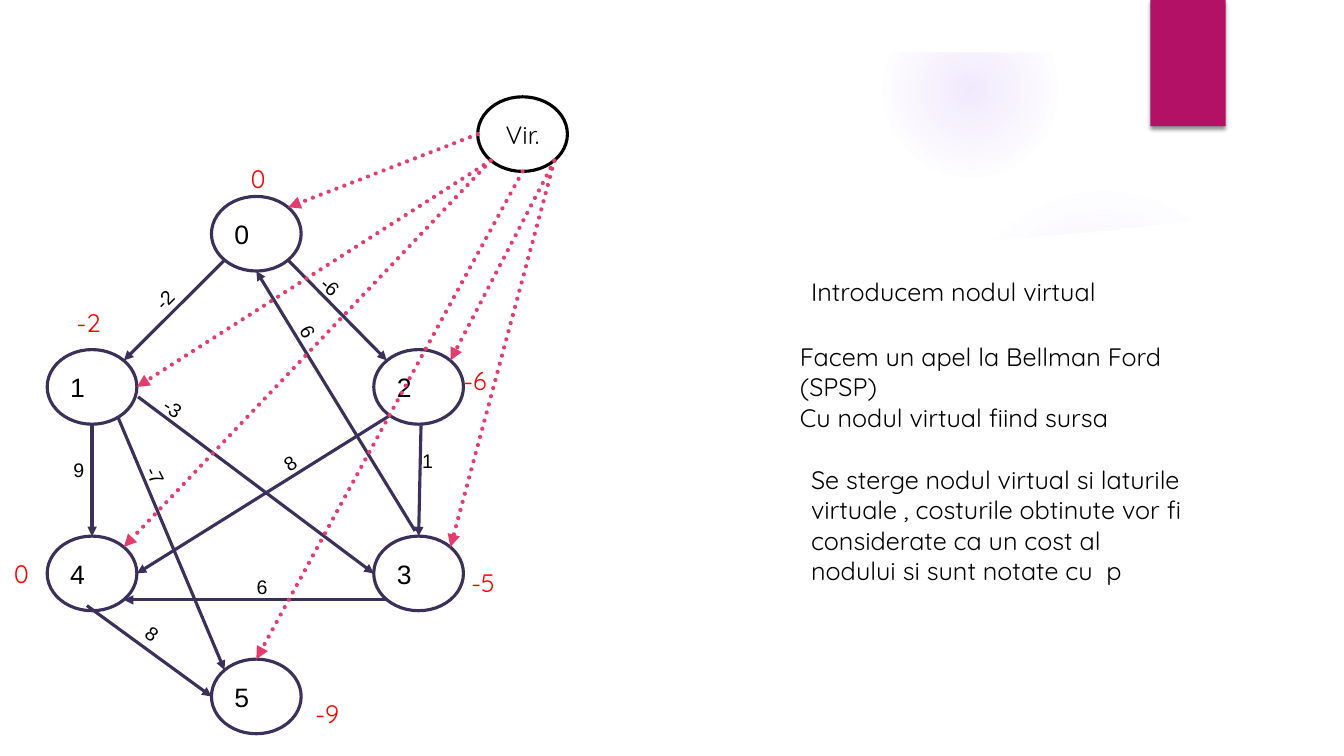
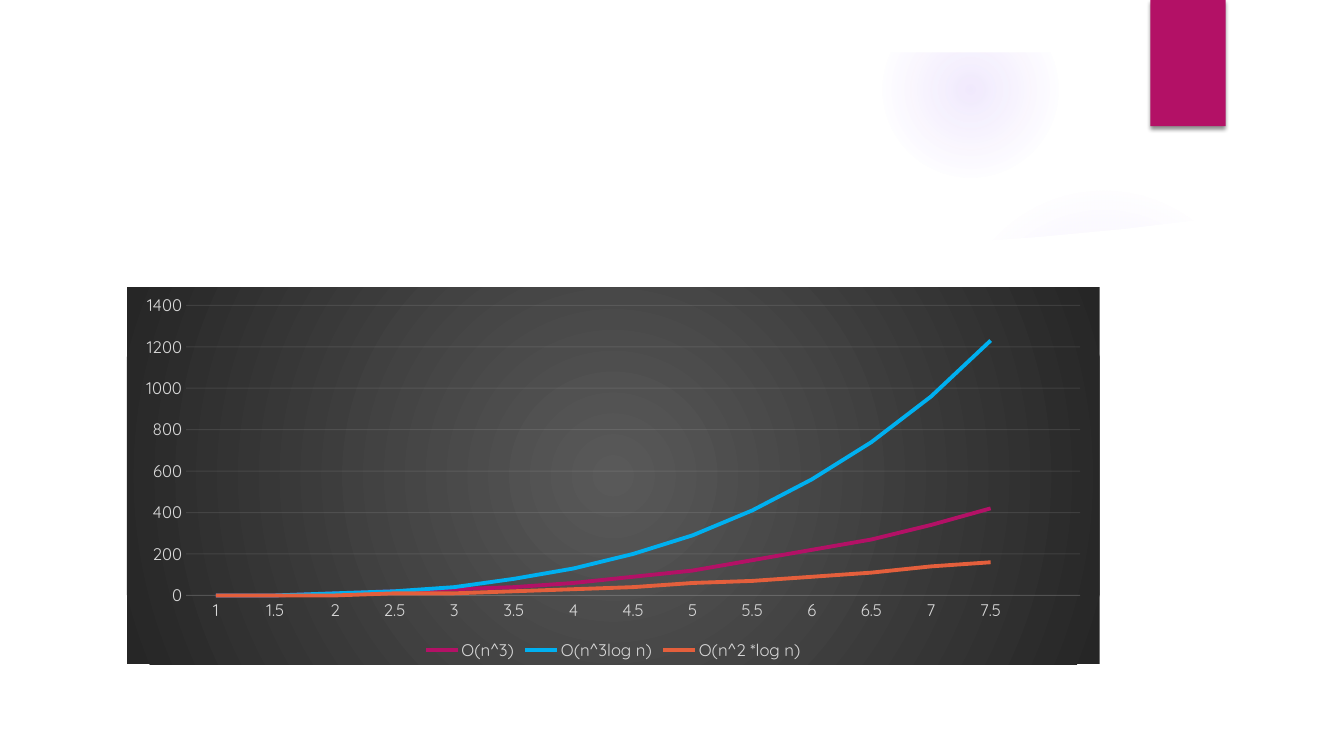
import dataclasses
import enum

import pptx
import pptx.chart.data
import pptx.dml.color
import pptx.enum.chart
import pptx.enum.dml
import pptx.enum.shapes
import pptx.enum.text
import pptx.oxml
import pptx.oxml.ns
import pptx.shapes.autoshape
import pptx.slide
import pptx.util

Cm = pptx.util.Cm
Pt = pptx.util.Pt
RGBColor = pptx.dml.color.RGBColor
SHAPE = pptx.enum.shapes.MSO_SHAPE
qn = pptx.oxml.ns.qn

WHITE = RGBColor(0xFF, 0xFF, 0xFF)
BLACK = RGBColor(0, 0, 0)
RED = RGBColor(0xFF, 0, 0)
MAGENTA = RGBColor(0xB3, 0x11, 0x66)
LAVENDER = RGBColor(0x9B, 0x6B, 0xF2)
INDIGO = RGBColor(0x3B, 0x30, 0x59)
PINK = RGBColor(0xE3, 0x3D, 0x6F)
BLUE = RGBColor(0x00, 0xB0, 0xF0)
ORANGE = RGBColor(0xE4, 0x5F, 0x3C)
GRAY = RGBColor(0x59, 0x59, 0x59)
CHARCOAL = RGBColor(0x26, 0x26, 0x26)
LABEL_GRAY = RGBColor(0xD9, 0xD9, 0xD9)
GRID_GRAY = RGBColor(0xF2, 0xF2, 0xF2)

BODY_FONT = "Quicksand"
GRAPH_FONT = "Arial"
SLIDE_W, SLIDE_H = 33.87, 19.05
NODE_W, NODE_H = 2.26, 1.88
DIAGONAL = 0.71


class Side(enum.Enum):
    TOP = (0, -1)
    LEFT = (-1, 0)
    BOTTOM = (0, 1)
    RIGHT = (1, 0)
    TOP_LEFT = (-DIAGONAL, -DIAGONAL)
    TOP_RIGHT = (DIAGONAL, -DIAGONAL)
    BOTTOM_LEFT = (-DIAGONAL, DIAGONAL)
    BOTTOM_RIGHT = (DIAGONAL, DIAGONAL)


@dataclasses.dataclass(frozen=True)
class Node:
    text: str
    x: float
    y: float

    def anchor(self, side: Side) -> tuple[float, float]:
        dx, dy = side.value
        return (self.x + NODE_W / 2 * (1 + dx), self.y + NODE_H / 2 * (1 + dy))


@dataclasses.dataclass(frozen=True)
class Edge:
    start: str
    start_side: Side
    end: str
    end_side: Side
    shift: tuple[float, float] = (0, 0)


@dataclasses.dataclass(frozen=True)
class Label:
    text: str
    x: float
    y: float
    w: float = 1.9
    h: float = 1.02
    rotation: float = 0


@dataclasses.dataclass(frozen=True)
class Glow:
    x: float
    y: float
    size: float
    stops: tuple[tuple[int, int], ...]


@dataclasses.dataclass(frozen=True)
class Series:
    name: str
    color: RGBColor
    values: tuple[int, ...]


GLOWS = (
    Glow(23.9, 4.65, 7.82, ((0, 7), (36, 6), (69, 0))),
    Glow(22.23, 0.03, 4.45, ((0, 14), (36, 7), (73, 0))),
)
PANEL = (
    (1.27, 5.18), (1.27, 17.78), (32.61, 17.78), (32.61, 5.18), (30.48, 5.51),
    (28.35, 5.77), (26.21, 5.97), (24.1, 6.12), (19.96, 6.27), (15.42, 6.27),
    (10.19, 6.05), (6.32, 5.77), (2.87, 5.38),
)
FRAME_OUTER = ((0, 0), (0, SLIDE_H), (SLIDE_W, SLIDE_H), (SLIDE_W, 0))
FRAME_INNER = ((32.54, 17.73), (1.32, 17.73), (1.32, 1.32), (32.54, 1.32))

LEFT_X, MIDDLE_X, RIGHT_X = 1.19, 5.33, 9.42
UPPER_Y, LOWER_Y = 8.81, 13.51
NODES = {n.text: n for n in (
    Node("0", MIDDLE_X, 4.95),
    Node("1", LEFT_X, UPPER_Y),
    Node("2", RIGHT_X, UPPER_Y),
    Node("4", LEFT_X, LOWER_Y),
    Node("3", RIGHT_X, LOWER_Y),
    Node("5", MIDDLE_X, 16.61),
)}
VIRTUAL = Node("Vir.", 12.04, 2.44)
EDGES = (
    Edge("0", Side.BOTTOM_LEFT, "1", Side.TOP_RIGHT),
    Edge("0", Side.BOTTOM_RIGHT, "2", Side.TOP_LEFT),
    Edge("3", Side.TOP, "0", Side.BOTTOM, (-0.09, -0.13)),
    Edge("2", Side.BOTTOM, "3", Side.TOP, (0.06, 0.03)),
    Edge("1", Side.BOTTOM, "4", Side.TOP),
    Edge("4", Side.BOTTOM, "5", Side.LEFT, (-0.13, -0.13)),
    Edge("1", Side.BOTTOM_RIGHT, "5", Side.TOP_LEFT, (-0.16, 0.07)),
    Edge("1", Side.RIGHT, "3", Side.LEFT, (0.03, 0.25)),
    Edge("3", Side.BOTTOM_LEFT, "4", Side.BOTTOM_RIGHT),
    Edge("2", Side.BOTTOM_LEFT, "4", Side.RIGHT, (0.05, 0.07)),
)
VIRTUAL_EDGES = (
    Edge("Vir.", Side.BOTTOM_LEFT, "1", Side.RIGHT),
    Edge("Vir.", Side.BOTTOM_LEFT, "4", Side.TOP_RIGHT),
    Edge("Vir.", Side.BOTTOM, "5", Side.TOP),
    Edge("Vir.", Side.LEFT, "0", Side.TOP_RIGHT),
    Edge("Vir.", Side.BOTTOM_RIGHT, "2", Side.TOP_RIGHT),
    Edge("Vir.", Side.BOTTOM_RIGHT, "3", Side.TOP_RIGHT),
)
WEIGHTS = (
    Label("-2", 3.48, 6.81, 1.6, 0.81, 315),
    Label("-6", 7.87, 6.93, 1.6, 0.81, 42.3),
    Label("-3", 3.89, 10.03, 1.93, 0.81, 33.2),
    Label("-7", 3.47, 11.71, 1.37, 0.79, 63.6),
    Label("1", 10.39, 11.05, 1.32, 1.09),
    Label("6", 7.26, 8.18, 1.5, 0.94, 61.7),
    Label("9", 1.6, 11.3, 0.94, 1.09),
    Label("6", 6.22, 14.25, 1.7, 0.86),
    Label("8", 6.81, 10.87, 1.7, 0.97, 326.6),
    Label("8", 3.43, 15.72, 1.7, 0.86, 37),
)
COSTS = (
    Label("0", 6.07, 3.99),
    Label("-2", 1.68, 7.62),
    Label("0", 0.1, 13.94),
    Label("-9", 7.7, 17.48),
    Label("-6", 11.43, 9.09),
    Label("-5", 11.63, 14.17),
)
STEPS = (
    Label("Introducem nodul virtual", 20.19, 6.83, 9.02, 1.02),
    Label("Facem un apel la Bellman Ford (SPSP)\nCu nodul virtual fiind sursa",
          19.91, 8.48, 10.59, 2.57),
    Label("Se sterge nodul virtual si laturile virtuale , costurile obtinute vor fi "
          "considerate ca un cost al nodului si sunt notate cu  p",
          20.19, 11.58, 10.03, 3.33),
)
CATEGORIES = ("1", "1.5", "2", "2.5", "3", "3.5", "4", "4.5", "5", "5.5",
              "6", "6.5", "7", "7.5", "")
SERIES = (
    Series("O(n^3)", MAGENTA,
           (0, 0, 10, 20, 30, 40, 60, 90, 120, 170, 220, 270, 340, 420)),
    Series("O(n^3log n)", BLUE,
           (0, 0, 10, 20, 40, 80, 130, 200, 290, 410, 560, 740, 960, 1230)),
    Series("O(n^2 *log n)", ORANGE,
           (0, 0, 0, 10, 10, 20, 30, 40, 60, 70, 90, 110, 140, 160)),
)


def radial_fill(stops: list[tuple[int, RGBColor, int]]):
    gs = "".join(
        f'<a:gs pos="{pos * 1000}"><a:srgbClr val="{color}">'
        f'<a:alpha val="{alpha * 1000}"/></a:srgbClr></a:gs>'
        for pos, color, alpha in stops)
    return pptx.oxml.parse_xml(
        f'<a:gradFill {pptx.oxml.ns.nsdecls("a")} rotWithShape="1"><a:gsLst>{gs}</a:gsLst>'
        '<a:path path="circle"><a:fillToRect l="50000" t="50000" r="50000" b="50000"/>'
        '</a:path></a:gradFill>')


def style_shape(sp: pptx.shapes.autoshape.Shape, color: RGBColor) -> None:
    sp.shadow.inherit = False
    sp.fill.solid()
    sp.fill.fore_color.rgb = color
    sp.line.fill.background()


def add_glow(s: pptx.slide.Slide, glow: Glow) -> pptx.shapes.autoshape.Shape:
    sp = s.shapes.add_shape(SHAPE.OVAL, Cm(glow.x), Cm(glow.y), Cm(glow.size), Cm(glow.size))
    style_shape(sp, LAVENDER)
    fill = sp.element.spPr.find(qn("a:solidFill"))
    fill.addprevious(radial_fill([(pos, LAVENDER, alpha) for pos, alpha in glow.stops]))
    sp.element.spPr.remove(fill)
    return sp


def add_outline(s: pptx.slide.Slide, *contours) -> pptx.shapes.autoshape.Shape:
    points = [[(Cm(x), Cm(y)) for x, y in contour] for contour in contours]
    builder = s.shapes.build_freeform(*points[0][0])
    builder.add_line_segments(points[0][1:], close=True)
    for contour in points[1:]:
        builder.move_to(*contour[0])
        builder.add_line_segments(contour[1:], close=True)
    sp = builder.convert_to_shape()
    style_shape(sp, WHITE)
    return sp


def add_ribbon(s: pptx.slide.Slide) -> pptx.shapes.autoshape.Shape:
    sp = s.shapes.add_shape(SHAPE.RECTANGLE, Cm(28.99), 0, Cm(1.9), Cm(3.18))
    style_shape(sp, MAGENTA)
    sp.element.spPr.find(qn("a:effectLst")).append(pptx.oxml.parse_xml(
        f'<a:outerShdw {pptx.oxml.ns.nsdecls("a")} blurRad="{Pt(3)}" dist="{Pt(2)}" '
        'dir="5400000" rotWithShape="0"><a:srgbClr val="000000">'
        '<a:alpha val="45000"/></a:srgbClr></a:outerShdw>'))
    return sp


def decorate_layout(layout: pptx.slide.SlideLayout, s: pptx.slide.Slide) -> None:
    decor = [add_glow(s, glow) for glow in GLOWS]
    decor += [add_outline(s, PANEL), add_outline(s, FRAME_OUTER, FRAME_INNER), add_ribbon(s)]
    for sp in decor:
        layout.shapes.element.append(sp.element)


def set_font(p, name: str, size: float, color: RGBColor) -> None:
    p.font.name = name
    p.font.size = Pt(size)
    p.font.color.rgb = color


def set_insets(tf) -> None:
    tf.margin_left = tf.margin_right = tf.margin_top = tf.margin_bottom = Cm(0.25)


def add_node(s: pptx.slide.Slide, node: Node, line: RGBColor, font: str, size: float,
             align: pptx.enum.text.PP_ALIGN) -> None:
    sp = s.shapes.add_shape(SHAPE.OVAL, Cm(node.x), Cm(node.y), Cm(NODE_W), Cm(NODE_H))
    style_shape(sp, WHITE)
    sp.line.color.rgb = line
    sp.line.width = Pt(2.25)
    tf = sp.text_frame
    tf.text = node.text
    tf.vertical_anchor = pptx.enum.text.MSO_ANCHOR.MIDDLE
    if font == GRAPH_FONT:
        set_insets(tf)
    p = tf.paragraphs[0]
    p.alignment = align
    set_font(p, font, size, BLACK)


def add_edge(s: pptx.slide.Slide, edge: Edge, color: RGBColor, width: float,
             dotted: bool = False) -> None:
    nodes = NODES | {VIRTUAL.text: VIRTUAL}
    x1, y1 = nodes[edge.start].anchor(edge.start_side)
    x2, y2 = nodes[edge.end].anchor(edge.end_side)
    dx, dy = edge.shift
    cxn = s.shapes.add_connector(pptx.enum.shapes.MSO_CONNECTOR.STRAIGHT,
                                 Cm(x1 + dx), Cm(y1 + dy), Cm(x2), Cm(y2))
    cxn.line.color.rgb = color
    cxn.line.width = Pt(width)
    spPr = cxn.element.spPr
    ln = spPr.find(qn("a:ln"))
    if dotted:
        cxn.line.dash_style = pptx.enum.dml.MSO_LINE.ROUND_DOT
        ln.set("cap", "rnd")
    ln.append(pptx.oxml.parse_xml(
        f'<a:tailEnd {pptx.oxml.ns.nsdecls("a")} type="triangle"/>'))
    spPr.append(pptx.oxml.parse_xml(f'<a:effectLst {pptx.oxml.ns.nsdecls("a")}/>'))


def add_label(s: pptx.slide.Slide, label: Label, font: str, size: float,
              color: RGBColor) -> None:
    sp = s.shapes.add_textbox(Cm(label.x), Cm(label.y), Cm(label.w), Cm(label.h))
    sp.rotation = label.rotation
    tf = sp.text_frame
    tf.word_wrap = True
    if font == GRAPH_FONT:
        set_insets(tf)
    tf.text = label.text
    for p in tf.paragraphs:
        set_font(p, font, size, color)


def build_graph_slide(s: pptx.slide.Slide) -> None:
    align = pptx.enum.text.PP_ALIGN
    for node in NODES.values():
        add_node(s, node, INDIGO, GRAPH_FONT, 19, align.LEFT)
    for edge in EDGES:
        add_edge(s, edge, INDIGO, 2.25)
    for label in WEIGHTS:
        add_label(s, label, GRAPH_FONT, 14, BLACK)
    add_node(s, VIRTUAL, BLACK, BODY_FONT, 18, align.CENTER)
    for edge in VIRTUAL_EDGES:
        add_edge(s, edge, PINK, 3, dotted=True)
    for labels, color in ((COSTS, RED), (STEPS, BLACK)):
        for label in labels:
            add_label(s, label, BODY_FONT, 18, color)


def build_chart_slide(s: pptx.slide.Slide) -> None:
    data = pptx.chart.data.CategoryChartData()
    data.categories = CATEGORIES
    for series in SERIES:
        data.add_series(series.name, series.values + (None,))
    chart = s.shapes.add_chart(pptx.enum.chart.XL_CHART_TYPE.LINE, Cm(3.2), Cm(7.24),
                               Cm(24.51), Cm(9.5), data).chart
    chart.has_title = False
    set_font(chart, BODY_FONT, 12, LABEL_GRAY)
    chart.has_legend = True
    chart.legend.position = pptx.enum.chart.XL_LEGEND_POSITION.BOTTOM
    chart.legend.include_in_layout = False
    plot = chart.plots[0]
    plot.vary_by_categories = False
    for series, line_series in zip(SERIES, plot.series):
        line_series.smooth = False
        line_series.format.line.color.rgb = series.color
        line_series.format.line.width = Pt(2.75)

    category_axis, value_axis = chart.category_axis, chart.value_axis
    for axis in (category_axis, value_axis):
        axis.major_tick_mark = axis.minor_tick_mark = pptx.enum.chart.XL_TICK_MARK.NONE
    value_axis.minimum_scale, value_axis.maximum_scale = 0, 1400
    value_axis.major_unit = 200
    value_axis.format.line.fill.background()
    for rule in (category_axis.format.line, value_axis.major_gridlines.format.line):
        rule.color.rgb = GRID_GRAY
        rule.width = Pt(0.75)
    for color in chart.element.xpath(f'.//a:srgbClr[@val="{GRID_GRAY}"]'):
        color.append(pptx.oxml.parse_xml(
            f'<a:alpha {pptx.oxml.ns.nsdecls("a")} val="10000"/>'))

    spPr = pptx.oxml.parse_xml(
        f'<c:spPr {pptx.oxml.ns.nsdecls("c", "a")}><a:ln><a:noFill/></a:ln></c:spPr>')
    spPr.insert(0, radial_fill([(0, GRAY, 100), (100, CHARCOAL, 100)]))
    chart.element.find(qn("c:txPr")).addprevious(spPr)


def main() -> None:
    prs = pptx.Presentation()
    prs.slide_width, prs.slide_height = Cm(SLIDE_W), Cm(SLIDE_H)
    layout = prs.slide_layouts[6]
    graph_slide, chart_slide = (prs.slides.add_slide(layout) for _ in range(2))
    decorate_layout(layout, graph_slide)
    build_graph_slide(graph_slide)
    build_chart_slide(chart_slide)
    prs.save("out.pptx")


if __name__ == "__main__":
    main()
